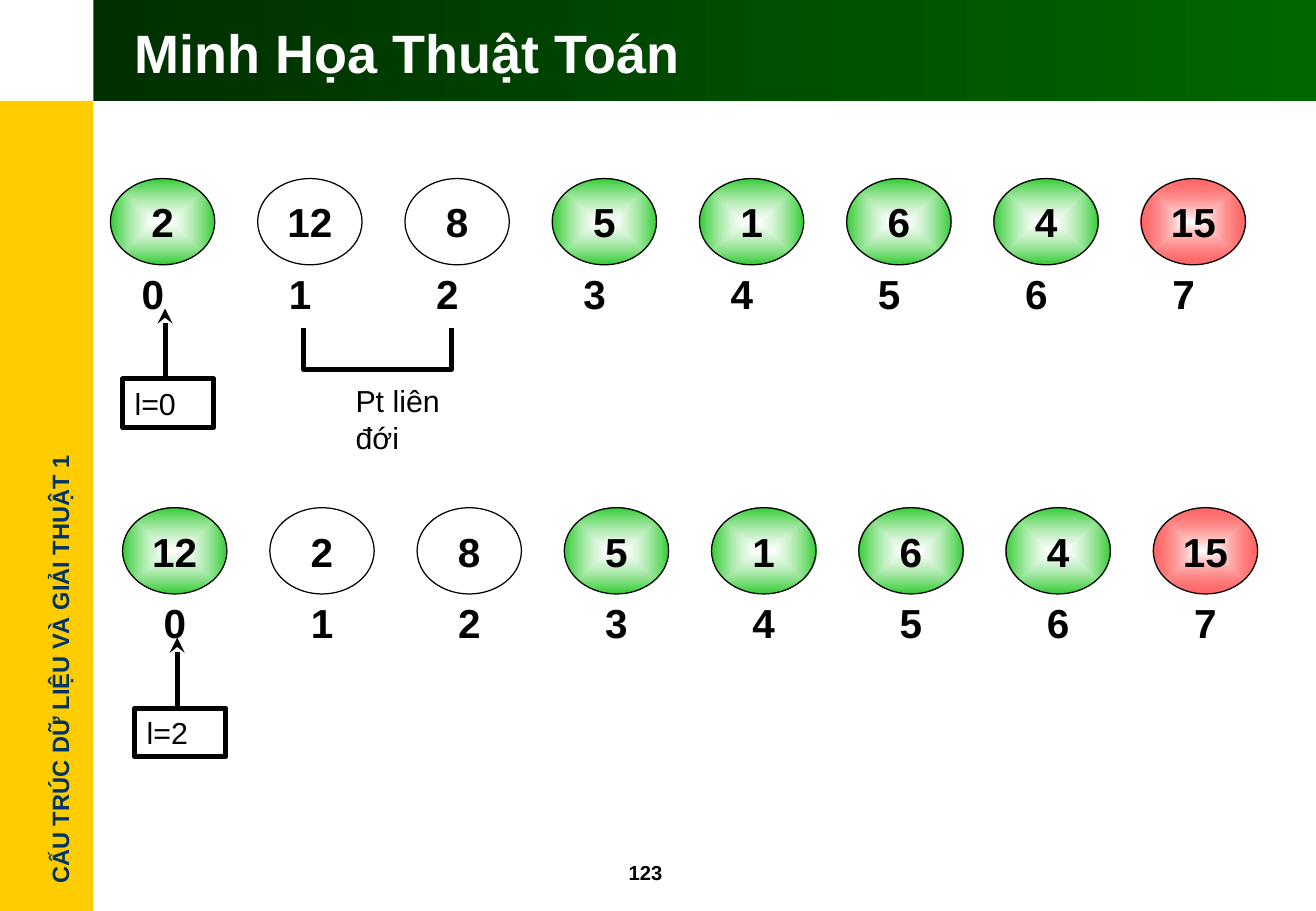
from dataclasses import dataclass

from lxml.etree import SubElement
from pptx import Presentation
from pptx.dml.color import RGBColor
from pptx.enum.shapes import MSO_CONNECTOR, MSO_SHAPE
from pptx.enum.text import MSO_ANCHOR, PP_ALIGN
from pptx.oxml.ns import qn
from pptx.util import Inches, Pt


@dataclass(frozen=True)
class Theme:
    font: str = "Arial"
    black: str = "000000"
    white: str = "FFFFFF"
    sidebar: str = "FFCC00"
    course: str = "003366"
    header_dark: str = "002F00"
    header_light: str = "006600"
    waiting: str = "33CC33"
    sorted: str = "FF0000"
    title_size: int = 32
    value_size: int = 24
    note_size: int = 18
    course_size: int = 14
    page_size: int = 12
    thin: float = 0.75
    thick: float = 3
    opacity: int = 60


THEME = Theme()
SLIDE_WIDTH, SLIDE_HEIGHT = 10.84, 7.5
HEADER_HEIGHT, SIDEBAR_WIDTH = 0.83, 0.77
NODE_WIDTH, NODE_HEIGHT = 0.86, 0.71
NODE_PITCH = 8.49 / 7
LABEL_DROP = 0.59


def rgb(color):
    return RGBColor.from_string(color)


def write_text(shape, text, size, color=THEME.black, bold=False,
               align=PP_ALIGN.LEFT, anchor=MSO_ANCHOR.TOP, wrap=True):
    frame = shape.text_frame
    frame.word_wrap = wrap
    frame.vertical_anchor = anchor
    paragraph = frame.paragraphs[0]
    paragraph.text = text
    paragraph.alignment = align
    paragraph.font.name = THEME.font
    paragraph.font.size = Pt(size)
    paragraph.font.bold = bold
    paragraph.font.color.rgb = rgb(color)


def add_text(slide, box, text, size, **formatting):
    shape = slide.shapes.add_textbox(*map(Inches, box))
    write_text(shape, text, size, **formatting)
    return shape


def add_box(slide, kind, box, line_width=None):
    shape = slide.shapes.add_shape(kind, *map(Inches, box))
    shape.shadow.inherit = False
    shape.fill.background()
    if line_width is None:
        shape.line.fill.background()
    else:
        style_line(shape.line, line_width)
    return shape


def style_line(line, width):
    line.color.rgb = rgb(THEME.black)
    line.width = Pt(width)


def fill_gradient(shape, *colors):
    shape.fill.gradient()
    shape.fill.gradient_angle = 0
    for stop, color in zip(shape.fill.gradient_stops, colors):
        stop.color.rgb = rgb(color)


def fill_node(shape, color):
    properties = shape.element.spPr
    if color == THEME.white:
        shape.fill.solid()
        shape.fill.fore_color.rgb = rgb(color)
        faded = properties.find(qn("a:solidFill"))
    else:
        fill_gradient(shape, THEME.white, color)
        gradient = properties.find(qn("a:gradFill"))
        gradient.remove(gradient.find(qn("a:lin")))
        path = SubElement(gradient, qn("a:path"), path="rect")
        SubElement(path, qn("a:fillToRect"), l="50000", t="50000", r="50000", b="50000")
        stops = gradient.find(qn("a:gsLst"))
        faded = stops[1] if color == THEME.sorted else stops[0]
    SubElement(faded.find(qn("a:srgbClr")), qn("a:alpha"), val=str(THEME.opacity * 1000))


def add_frame(slide, width, height):
    sidebar = add_box(slide, MSO_SHAPE.RECTANGLE,
                      (0, HEADER_HEIGHT, SIDEBAR_WIDTH, height - HEADER_HEIGHT))
    sidebar.fill.solid()
    sidebar.fill.fore_color.rgb = rgb(THEME.sidebar)
    course = add_text(slide, (-1.37, 5.34, 3.73, 0.34), "CẤU TRÚC DỮ LIỆU VÀ GIẢI THUẬT 1",
                      THEME.course_size, color=THEME.course, bold=True, wrap=False)
    course.rotation = 270
    header = add_box(slide, MSO_SHAPE.RECTANGLE,
                     (SIDEBAR_WIDTH, 0, width - SIDEBAR_WIDTH, HEADER_HEIGHT))
    fill_gradient(header, THEME.header_dark, THEME.header_light)
    add_text(slide, (5.08, 7.03, 0.83, 0.3), "123", THEME.page_size, bold=True)


def add_title(slide, box, text):
    title = slide.shapes.title
    title.left, title.top, title.width, title.height = map(Inches, box)
    write_text(title, text, THEME.title_size, color=THEME.white, bold=True,
               anchor=MSO_ANCHOR.MIDDLE)
    title.element.getparent().append(title.element)


def add_array(slide, left, top, values, compared, label_shift=0):
    centred = dict(bold=True, align=PP_ALIGN.CENTER, anchor=MSO_ANCHOR.MIDDLE)
    for index, value in enumerate(values):
        x = left + index * NODE_PITCH
        node = add_box(slide, MSO_SHAPE.OVAL, (x, top, NODE_WIDTH, NODE_HEIGHT), THEME.thin)
        if index in compared:
            color = THEME.white
        elif index == len(values) - 1:
            color = THEME.sorted
        else:
            color = THEME.waiting
        fill_node(node, color)
        write_text(node, str(value), THEME.value_size, **centred)
        add_text(slide, (x + label_shift, top + LABEL_DROP, NODE_WIDTH, NODE_HEIGHT),
                 str(index), THEME.value_size, **centred)


def add_pointer(slide, left, top, text):
    box = add_box(slide, MSO_SHAPE.RECTANGLE, (left, top, 0.75, 0.4), THEME.thick)
    write_text(box, text, THEME.note_size, anchor=MSO_ANCHOR.MIDDLE)
    x = left + 0.35
    arrow = slide.shapes.add_connector(
        MSO_CONNECTOR.STRAIGHT, *map(Inches, (x, top, x, top - 0.58)))
    style_line(arrow.line, THEME.thick)
    SubElement(arrow.line._get_or_add_ln(), qn("a:tailEnd"), type="stealth")
    SubElement(arrow.element.spPr, qn("a:effectLst"))


def add_children_bracket(slide, left, top, width, height, text):
    builder = slide.shapes.build_freeform(Inches(left), Inches(top))
    corners = [(left, top + height), (left + width, top + height), (left + width, top)]
    builder.add_line_segments([(Inches(x), Inches(y)) for x, y in corners], close=False)
    bracket = builder.convert_to_shape()
    bracket.shadow.inherit = False
    bracket.fill.background()
    style_line(bracket.line, THEME.thick)
    add_text(slide, (left + 0.33, top + height + 0.06, 0.92, 0.7), text, THEME.note_size)


def add_heap_step(slide, left, top, values, pointer, label_shift=0):
    add_array(slide, left, top, values, compared=(1, 2), label_shift=label_shift)
    add_pointer(slide, left + 0.1, top + 1.65, pointer)


def main():
    presentation = Presentation()
    presentation.slide_width = Inches(SLIDE_WIDTH)
    presentation.slide_height = Inches(SLIDE_HEIGHT)
    slide = presentation.slides.add_slide(presentation.slide_layouts[5])
    add_frame(slide, SLIDE_WIDTH, SLIDE_HEIGHT)
    add_title(slide, (1.01, 0.09, 9.61, 0.67), "Minh Họa Thuật Toán")
    add_heap_step(slide, 0.91, 1.47, (2, 12, 8, 5, 1, 6, 4, 15), "l=0", label_shift=-0.08)
    add_children_bracket(slide, 2.5, 2.7, 1.22, 0.34, "Pt liên đới")
    add_heap_step(slide, 1.01, 4.18, (12, 2, 8, 5, 1, 6, 4, 15), "l=2")
    presentation.save("out.pptx")


if __name__ == "__main__":
    main()
